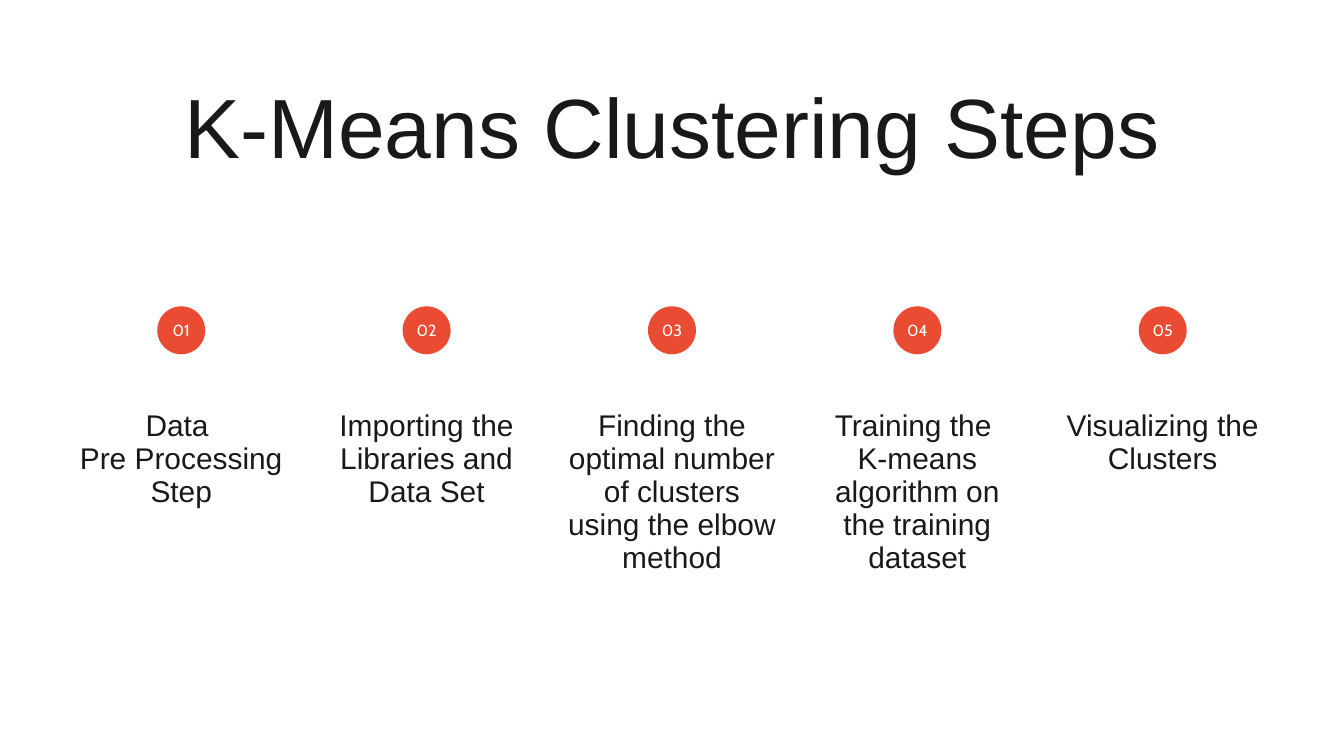
"""Build a slide that shows the five steps of K-means clustering."""

import dataclasses

import pptx
import pptx.dml.color
import pptx.enum.shapes
import pptx.enum.text
import pptx.shapes.autoshape
import pptx.slide
import pptx.util

Pt = pptx.util.Pt

COLOURS = {"text": "191919", "badge": "EA4B33", "number": "FFFFFF"}
SLIDE_WIDTH, SLIDE_HEIGHT = 1440, 810
STEP_PITCH = 262.9
BADGE_TOP, BADGE_SIZE = 328.2, 51.4
NUMBER_TOP, NUMBER_WIDTH, NUMBER_HEIGHT = 343.4, 28.8, 20.9
CAPTION_TOP, CAPTION_WIDTH = 439.2, 226


@dataclasses.dataclass(frozen=True)
class TextStyle:
    font: str
    size: float
    line_height: float
    colour: str


@dataclasses.dataclass(frozen=True)
class Step:
    paragraphs: tuple[str, ...]
    caption_height: float


TITLE_STYLE = TextStyle("Arial", 90, 108, "text")
NUMBER_STYLE = TextStyle("Cabin", 17.3, 20.7, "number")
CAPTION_STYLE = TextStyle("Arial", 32, 35.2, "text")

STEPS = (
    Step(("Data ", "Pre Processing ", "Step"), 105),
    Step(("Importing the Libraries and Data Set",), 105),
    Step(("Finding the optimal number of clusters using the elbow method",), 209),
    Step(("Training the ", "K-means algorithm on the training dataset"), 174),
    Step(("Visualizing the Clusters",), 105),
)


def colour(name: str) -> pptx.dml.color.RGBColor:
    """Return the named colour."""
    return pptx.dml.color.RGBColor.from_string(COLOURS[name])


def write_text(
    shape: pptx.shapes.autoshape.Shape, paragraphs: tuple[str, ...], style: TextStyle
) -> None:
    """Write centred paragraphs into a shape without margins."""
    frame = shape.text_frame
    frame.text = "\n".join(paragraphs)
    frame.word_wrap = True
    frame.auto_size = pptx.enum.text.MSO_AUTO_SIZE.NONE
    frame.vertical_anchor = pptx.enum.text.MSO_ANCHOR.TOP
    frame.margin_left = frame.margin_right = 0
    frame.margin_top = frame.margin_bottom = 0
    for paragraph in frame.paragraphs:
        paragraph.alignment = pptx.enum.text.PP_ALIGN.CENTER
        paragraph.line_spacing = Pt(style.line_height)
        paragraph.font.name = style.font
        paragraph.font.size = Pt(style.size)
        paragraph.font.color.rgb = colour(style.colour)


def add_title(slide: pptx.slide.Slide, text: str) -> None:
    """Place and fill the title placeholder."""
    title = slide.shapes.title
    title.left, title.top = Pt(101.5), Pt(79.9)
    title.width, title.height = Pt(1237), Pt(108.7)
    write_text(title, (text,), TITLE_STYLE)


def add_centred_text(
    slide: pptx.slide.Slide,
    centre: float,
    top: float,
    width: float,
    height: float,
    paragraphs: tuple[str, ...],
    style: TextStyle,
) -> None:
    """Add a text box centred on a column."""
    box = slide.shapes.add_textbox(
        Pt(centre - width / 2), Pt(top), Pt(width), Pt(height)
    )
    write_text(box, paragraphs, style)


def add_step(slide: pptx.slide.Slide, number: int, step: Step) -> None:
    """Add the numbered badge and the caption of one step."""
    centre = SLIDE_WIDTH / 2 + (number - (len(STEPS) + 1) / 2) * STEP_PITCH
    badge = slide.shapes.add_shape(
        pptx.enum.shapes.MSO_SHAPE.OVAL,
        Pt(centre - BADGE_SIZE / 2),
        Pt(BADGE_TOP),
        Pt(BADGE_SIZE),
        Pt(BADGE_SIZE),
    )
    badge.shadow.inherit = False
    badge.fill.solid()
    badge.fill.fore_color.rgb = colour("badge")
    badge.line.fill.background()
    add_centred_text(
        slide, centre, NUMBER_TOP, NUMBER_WIDTH, NUMBER_HEIGHT,
        (f"{number:02d}",), NUMBER_STYLE,
    )
    add_centred_text(
        slide, centre, CAPTION_TOP, CAPTION_WIDTH, step.caption_height,
        step.paragraphs, CAPTION_STYLE,
    )


def main() -> None:
    """Build and save the presentation."""
    presentation = pptx.Presentation()
    presentation.slide_width = Pt(SLIDE_WIDTH)
    presentation.slide_height = Pt(SLIDE_HEIGHT)
    slide = presentation.slides.add_slide(
        presentation.slide_layouts.get_by_name("Title Only")
    )
    add_title(slide, "K-Means Clustering Steps")
    for number, step in enumerate(STEPS, start=1):
        add_step(slide, number, step)
    presentation.save("out.pptx")


if __name__ == "__main__":
    main()
